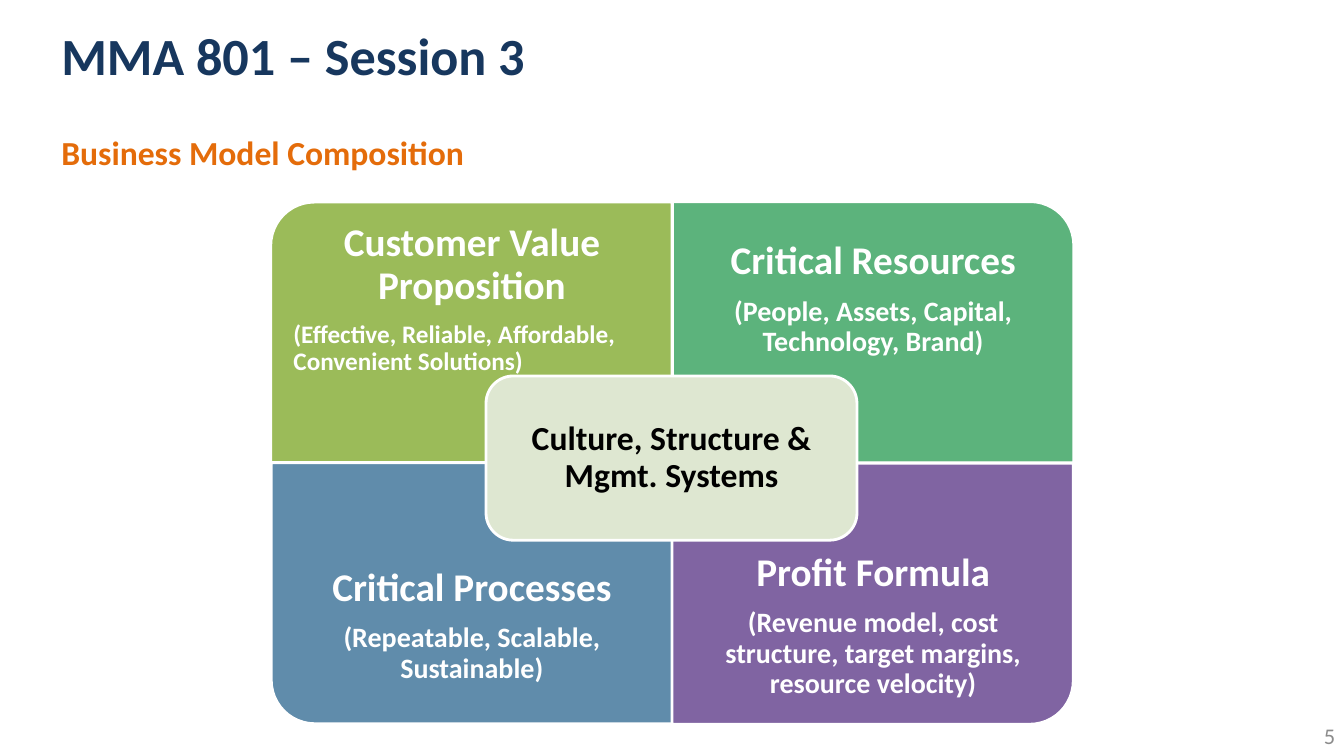
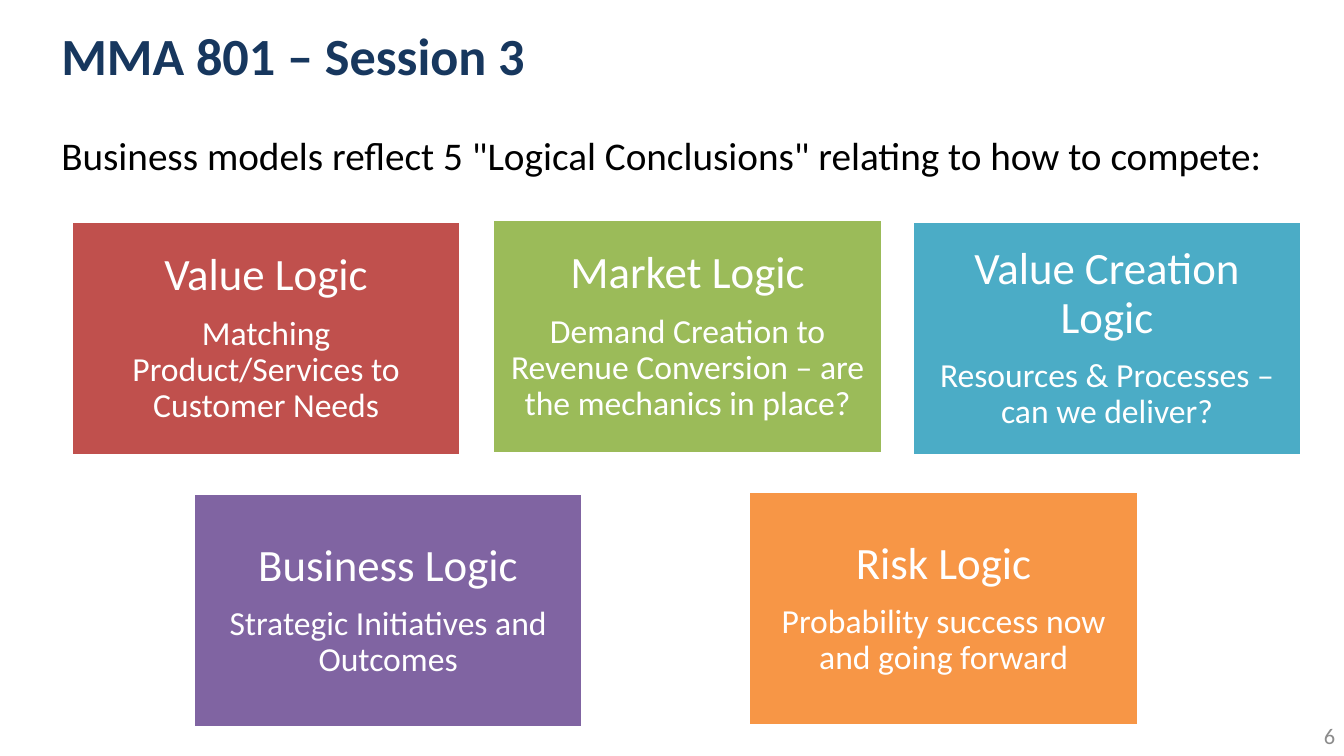
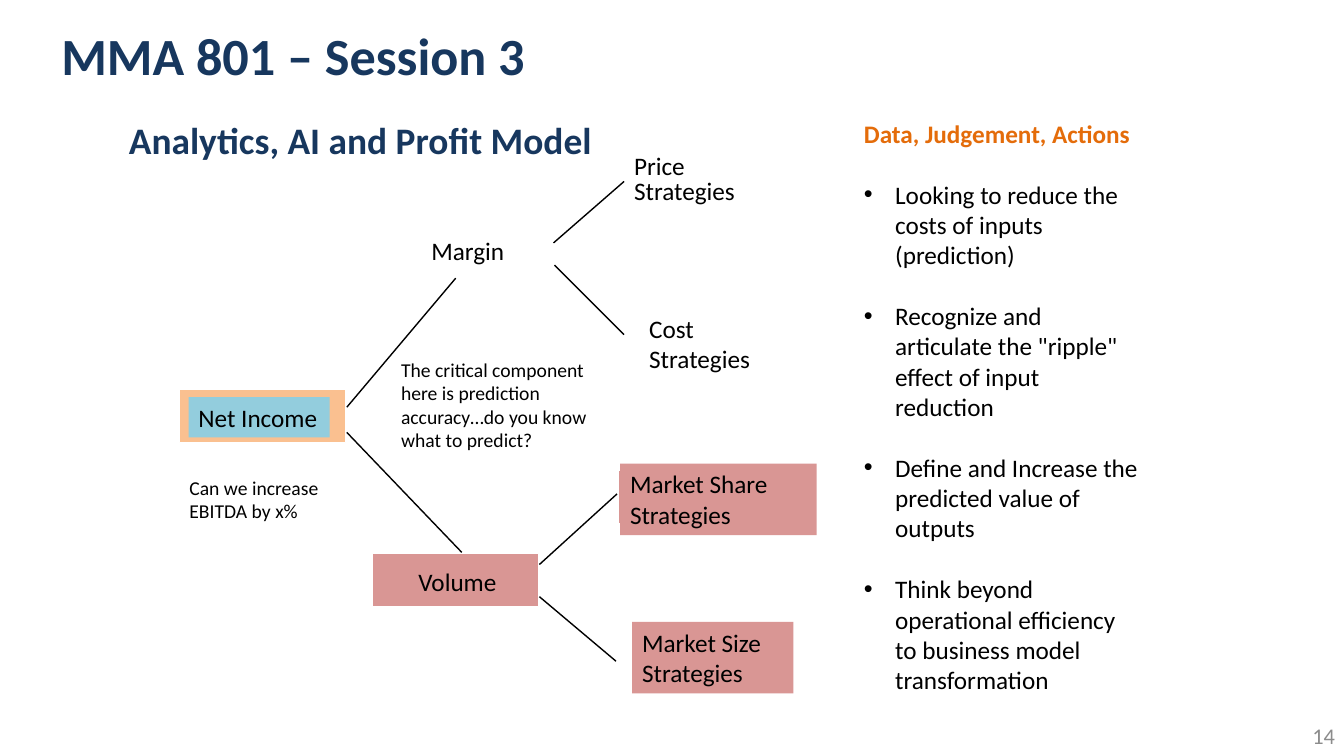
from lxml import etree
from pptx import Presentation
from pptx import util as u
from pptx.dml.color import RGBColor
from pptx.enum import shapes, text
from pptx.oxml import ns

PX = 9144
FONT = "Calibri"
COLORS = {
    "navy": "17375E", "orange_text": "E46C0A", "grey": "8C8C8C",
    "white": "FFFFFF", "black": "000000", "green": "9BBB59",
    "emerald": "5CB37C", "steel": "608CAB", "purple": "8064A2",
    "sage": "DEE7D1", "red": "C0504D", "teal": "4BACC6",
    "orange": "F79646", "peach": "FAC090", "rose": "D99694", "sky": "93CDDD",
}
RGB = {name: RGBColor.from_string(value) for name, value in COLORS.items()}
RECT = shapes.MSO_SHAPE.RECTANGLE
CORNER = shapes.MSO_SHAPE.ROUND_1_RECTANGLE
ROUNDED = shapes.MSO_SHAPE.ROUNDED_RECTANGLE
LEFT, CENTER, RIGHT = text.PP_ALIGN.LEFT, text.PP_ALIGN.CENTER, text.PP_ALIGN.RIGHT
TOP, MIDDLE = text.MSO_ANCHOR.TOP, text.MSO_ANCHOR.MIDDLE


def add_box(s, at, fill=None, kind=RECT, line=0, rot=0):
    at = [v * PX for v in at]
    if fill is None:
        return s.shapes.add_textbox(*at)
    sp = s.shapes.add_shape(kind, *at)
    sp.shadow.inherit = False
    sp.rotation = rot
    sp.fill.solid()
    sp.fill.fore_color.rgb = RGB[fill]
    if line:
        sp.line.color.rgb = RGB["white"]
        sp.line.width = u.Pt(line)
    else:
        sp.line.fill.background()
    return sp


def write(sp, lines, color="black", bold=False, align=LEFT, anchor=TOP,
          inset=(10, 5), spacing=None, after=0):
    tf = sp.text_frame
    tf.word_wrap = True
    tf.vertical_anchor = anchor
    tf.margin_left = tf.margin_right = inset[0] * PX
    tf.margin_top = tf.margin_bottom = inset[1] * PX
    for i, (words, size) in enumerate(lines):
        p = tf.add_paragraph() if i else tf.paragraphs[0]
        p.alignment = align
        p.line_spacing = spacing
        p.space_after = u.Pt(round(size * after, 1))
        r = p.add_run()
        r.text = words
        r.font.name = FONT
        r.font.size = u.Pt(size)
        r.font.bold = bold
        r.font.color.rgb = RGB[color]
    return tf


prs = Presentation()
prs.slide_width, prs.slide_height = 1333 * PX, 750 * PX

slides = []
for number in ("5", "6", "14"):
    s = prs.slides.add_slide(prs.slide_layouts[6])
    write(add_box(s, (51, 7, 1094, 94)), [("MMA 801 – Session 3", 37.3)],
          "navy", True, anchor=MIDDLE)
    write(add_box(s, (1171, 710, 163, 40)), [(number, 16)],
          "grey", align=RIGHT, anchor=MIDDLE)
    slides.append(s)
composition, logics, profit = slides

write(add_box(composition, (51, 124, 484, 53)),
      [("Business Model Composition", 24)], "orange_text", True, anchor=MIDDLE)

W, H, TEXT_H = 398, 259, 194
X0, Y0 = 269, 200
quadrants = [
    (0, 0, 270, "green", "Customer Value Proposition",
     "(Effective, Reliable, Affordable, Convenient Solutions)", 18, LEFT),
    (1, 0, 0, "emerald", "Critical Resources",
     "(People, Assets, Capital, Technology, Brand)", 20, CENTER),
    (0, 1, 180, "steel", "Critical Processes",
     "(Repeatable, Scalable, Sustainable)", 20, CENTER),
    (1, 1, 90, "purple", "Profit Formula",
     "(Revenue model, cost structure, target margins, resource velocity)", 20, CENTER),
]
for col, row, rot, fill, head, body, size, align in quadrants:
    x, y = X0 + col * W, Y0 + row * H
    at = (x, y, W, H)
    if rot % 180:
        at = (x + (W - H) // 2, y - (W - H) // 2, H, W)
    add_box(composition, at, fill, CORNER, 2, rot)
    label = add_box(composition, (x, y + row * (H - TEXT_H), W, TEXT_H))
    tf = write(label, [(head, 28), (body, size)], "white", True, CENTER, MIDDLE,
               (22, 22), 0.9, 0.35)
    tf.paragraphs[1].alignment = align

core = add_box(composition, (482, 373, 368, 163), "sage", ROUNDED, 2)
write(core, [("Culture, Structure & Mgmt. Systems", 24)], "black", True, CENTER,
      MIDDLE, (10, 10), 0.9, 0.35)

write(add_box(logics, (51, 125, 1237, 57)),
      [('Business models reflect 5 "Logical Conclusions" relating to how to compete:', 28)])
cards = [
    (71, 220, "red", "Value Logic", "Matching Product/Services to Customer Needs"),
    (489, 218, "green", "Market Logic",
     "Demand Creation to Revenue Conversion – are the mechanics in place?"),
    (905, 220, "teal", "Value Creation Logic", "Resources & Processes – can we deliver?"),
    (192, 490, "purple", "Business Logic", "Strategic Initiatives and Outcomes"),
    (743, 488, "orange", "Risk Logic", "Probability success now and going forward"),
]
for x, y, fill, head, body in cards:
    write(add_box(logics, (x, y, 386, 232), fill, line=2), [(head, 32), (body, 24)],
          "white", False, CENTER, MIDDLE, (13, 13), 0.9, 0.35)

write(add_box(profit, (118, 111, 500, 56)),
      [("Analytics, AI and Profit Model", 26.7)], "navy", True)

for x, y, fill in ((178, 386, "peach"), (613, 467, "rose"), (369, 549, "rose")):
    add_box(profit, (x, y, 165, 53), fill, line=1)

nodes = [
    ((619, 149, 161, 61), None, ["Price Strategies"], 18, u.Pt(18)),
    ((634, 306, 161, 71), None, ["Cost Strategies"], 18, None),
    ((615, 460, 195, 71), "rose", ["Market Share", "Strategies"], 18, None),
    ((627, 617, 160, 71), "rose", ["Market Size", "Strategies"], 18, None),
    ((418, 229, 93, 40), None, ["Margin"], 18, None),
    ((405, 557, 99, 40), "rose", ["Volume"], 18, None),
    ((187, 394, 140, 40), "sky", ["Net Income"], 18, None),
    ((178, 467, 204, 57), None, ["Can we increase EBITDA by x%"], 14, None),
    ((388, 350, 217, 104), None,
     ["The critical component here is prediction accuracy…do you know what to predict?"],
     14, None),
]
for at, fill, lines, size, spacing in nodes:
    write(add_box(profit, at, fill), [(words, size) for words in lines], spacing=spacing)

branches = [
    (535, 560, 612, 490), (535, 592, 611, 656), (549, 241, 619, 180),
    (550, 263, 619, 332), (344, 404, 452, 276), (344, 429, 458, 548),
]
for ends in branches:
    c = profit.shapes.add_connector(shapes.MSO_CONNECTOR.STRAIGHT, *[v * PX for v in ends])
    c.line.color.rgb = RGB["black"]
    c.line.width = u.Pt(1)
    etree.SubElement(c._element.spPr, ns.qn("a:effectLst"))

actions = [
    "Data, Judgement, Actions",
    "Looking to reduce the costs of inputs (prediction)",
    'Recognize and articulate the "ripple" effect of input reduction',
    "Define and Increase the predicted value of outputs",
    "Think beyond operational efficiency to business model transformation",
]
tf = write(add_box(profit, (847, 112, 295, 586)), [(words, 18) for words in actions])
head, *bullets = tf.paragraphs
head.runs[0].font.bold = True
head.runs[0].font.color.rgb = RGB["orange_text"]
for p in bullets:
    p.space_before = u.Pt(22)
    pPr = p._p.get_or_add_pPr()
    pPr.set("marL", str(31 * PX))
    pPr.set("indent", str(-31 * PX))
    etree.SubElement(pPr, ns.qn("a:buFont"), typeface="Arial")
    etree.SubElement(pPr, ns.qn("a:buChar"), char="•")

prs.save("out.pptx")
